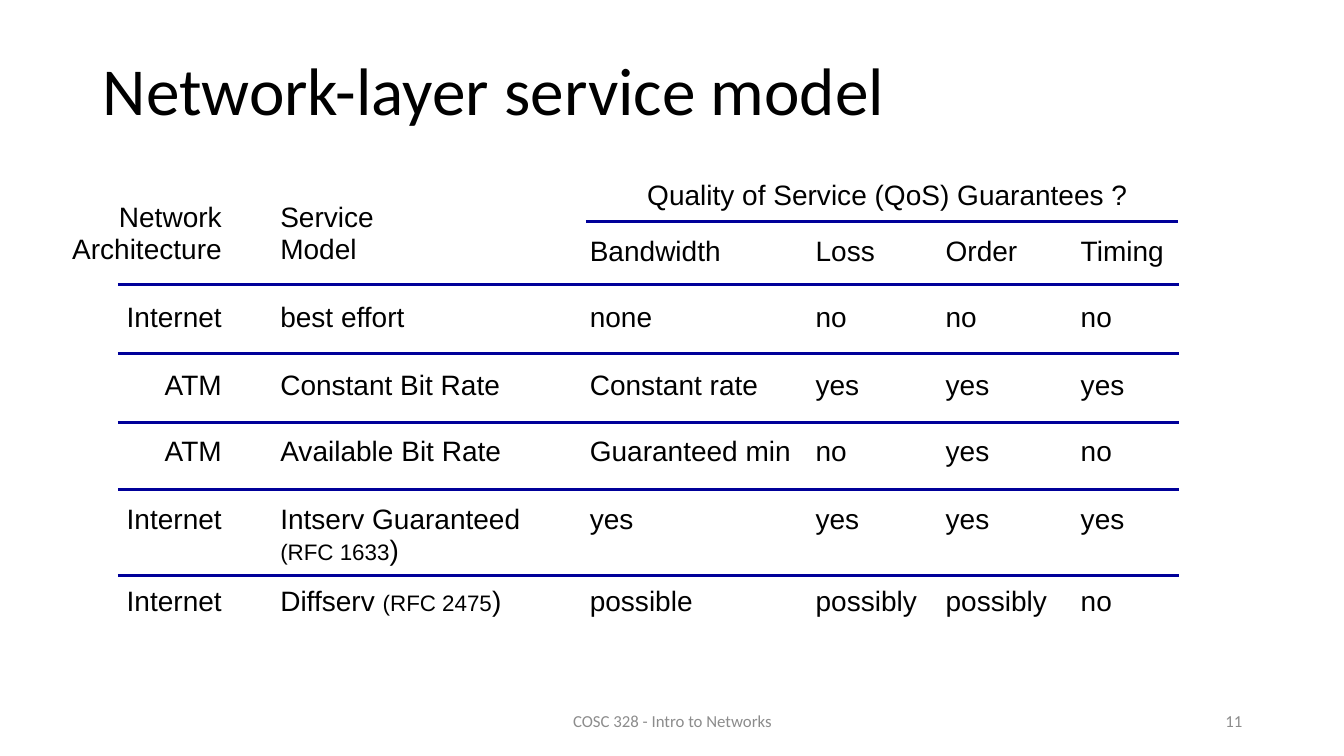
from itertools import pairwise

from lxml.etree import SubElement
from pptx import Presentation
from pptx.dml.color import RGBColor
from pptx.enum.shapes import MSO_CONNECTOR
from pptx.enum.text import MSO_ANCHOR, PP_ALIGN
from pptx.oxml.ns import qn
from pptx.util import Inches, Pt

BLACK = RGBColor(0x00, 0x00, 0x00)
GREY = RGBColor(0x8C, 0x8C, 0x8C)
NAVY = RGBColor(0x00, 0x00, 0x99)

HEADINGS = ["Network\nArchitecture", "Service\nModel"]
GUARANTEES = ["Bandwidth", "Loss", "Order", "Timing"]
# Text between bars is set in the small size.
SERVICES = [
    ["Internet", "best effort", "none", "no", "no", "no"],
    ["ATM", "Constant Bit Rate", "Constant rate", "yes", "yes", "yes"],
    ["ATM", "Available Bit Rate", "Guaranteed min", "no", "yes", "no"],
    ["Internet", "Intserv Guaranteed\n|(RFC 1633|)", "yes", "yes", "yes", "yes"],
    ["Internet", "Diffserv |(RFC 2475|)", "possible", "possibly", "possibly", "no"],
]
COLUMN_EDGES = [0.6, 2.68, 5.75, 7.99, 9.28, 10.62, 11.7]
ROW_EDGES = [1.64, 2.34, 3.0, 3.67, 4.33, 5.0, 5.82, 6.2]
RULES = [2.82, 3.51, 4.19, 4.86, 5.71]


class ServiceSlide:
    body_font, body_size, small_size = "Arial", Pt(20), Pt(16)
    heading_font = "Calibri"

    def __init__(self, presentation):
        self.slide = presentation.slides.add_slide(presentation.slide_layouts[5])
        self.shapes = self.slide.shapes

    def style(self, run, name, size, color=BLACK):
        run.font.name = name
        run.font.size = size
        run.font.color.rgb = color

    def title(self, text, left, top, width, height):
        title = self.shapes.title
        title.left, title.top = Inches(left), Inches(top)
        title.width, title.height = Inches(width), Inches(height)
        frame = title.text_frame
        frame.text = text
        frame.vertical_anchor = MSO_ANCHOR.MIDDLE
        paragraph = frame.paragraphs[0]
        paragraph.alignment = PP_ALIGN.LEFT
        paragraph.line_spacing = 0.9
        self.style(paragraph.runs[0], self.heading_font, Pt(48))

    def footer(self, text, left, width, alignment):
        box = self.shapes.add_textbox(Inches(left), Inches(6.95), Inches(width), Inches(0.4))
        frame = box.text_frame
        frame.word_wrap = True
        frame.vertical_anchor = MSO_ANCHOR.MIDDLE
        frame.text = text
        paragraph = frame.paragraphs[0]
        paragraph.alignment = alignment
        self.style(paragraph.runs[0], self.heading_font, Pt(12), GREY)

    def rule(self, left, right, y):
        line = self.shapes.add_connector(
            MSO_CONNECTOR.STRAIGHT, Inches(left), Inches(y), Inches(right), Inches(y))
        line.line.color.rgb = NAVY
        line.line.width = Pt(2.25)
        SubElement(line._element.spPr, qn("a:effectLst"))

    def table(self, column_edges, row_edges):
        """Add an unfilled table whose rows start where their text starts."""
        left, top = column_edges[0], row_edges[0]
        table = self.shapes.add_table(
            len(row_edges) - 1, len(column_edges) - 1, Inches(left), Inches(top),
            Inches(column_edges[-1] - left), Inches(row_edges[-1] - top)).table
        table.first_row = table.horz_banding = False
        for column, (start, end) in zip(table.columns, pairwise(column_edges)):
            column.width = Inches(end - start)
        for row, (start, end) in zip(table.rows, pairwise(row_edges)):
            row.height = Inches(end - start)
        for cell in table.iter_cells():
            cell.fill.background()
            cell.margin_top = cell.margin_bottom = cell.margin_right = 0
        return table

    def fill_cell(self, cell, text, right_aligned=False):
        frame = cell.text_frame
        if right_aligned:
            cell.margin_right = Inches(0.48)
        for index, line in enumerate(text.split("\n")):
            paragraph = frame.add_paragraph() if index else frame.paragraphs[0]
            if right_aligned:
                paragraph.alignment = PP_ALIGN.RIGHT
            for part, words in enumerate(line.split("|")):
                if words:
                    run = paragraph.add_run()
                    run.text = words
                    size = self.small_size if part % 2 else self.body_size
                    self.style(run, self.body_font, size)


def main():
    presentation = Presentation()
    presentation.slide_width, presentation.slide_height = Inches(13.33), Inches(7.5)
    page = ServiceSlide(presentation)
    page.title("Network-layer service model", 0.92, 0.44, 11.5, 0.98)

    table = page.table(COLUMN_EDGES, ROW_EDGES)
    for column, heading in enumerate(HEADINGS):
        cell = table.cell(0, column)
        cell.merge(table.cell(1, column))
        cell.vertical_anchor = MSO_ANCHOR.MIDDLE
        page.fill_cell(cell, heading, right_aligned=column == 0)
    quality = table.cell(0, 2)
    quality.merge(table.cell(0, 5))
    quality.margin_left = Inches(0.67)
    quality.margin_top = Inches(0.15)
    page.fill_cell(quality, "Quality of Service (QoS) Guarantees ?")
    for column, guarantee in enumerate(GUARANTEES, start=2):
        page.fill_cell(table.cell(1, column), guarantee)
    for row, service in enumerate(SERVICES, start=2):
        for column, value in enumerate(service):
            page.fill_cell(table.cell(row, column), value, right_aligned=column == 0)

    page.rule(5.81, 11.68, 2.2)
    for y in RULES:
        page.rule(1.17, 11.69, y)

    page.footer("COSC 328 - Intro to Networks", 4.42, 4.5, PP_ALIGN.CENTER)
    page.footer("11", 9.42, 3, PP_ALIGN.RIGHT)
    presentation.save("out.pptx")


if __name__ == "__main__":
    main()
